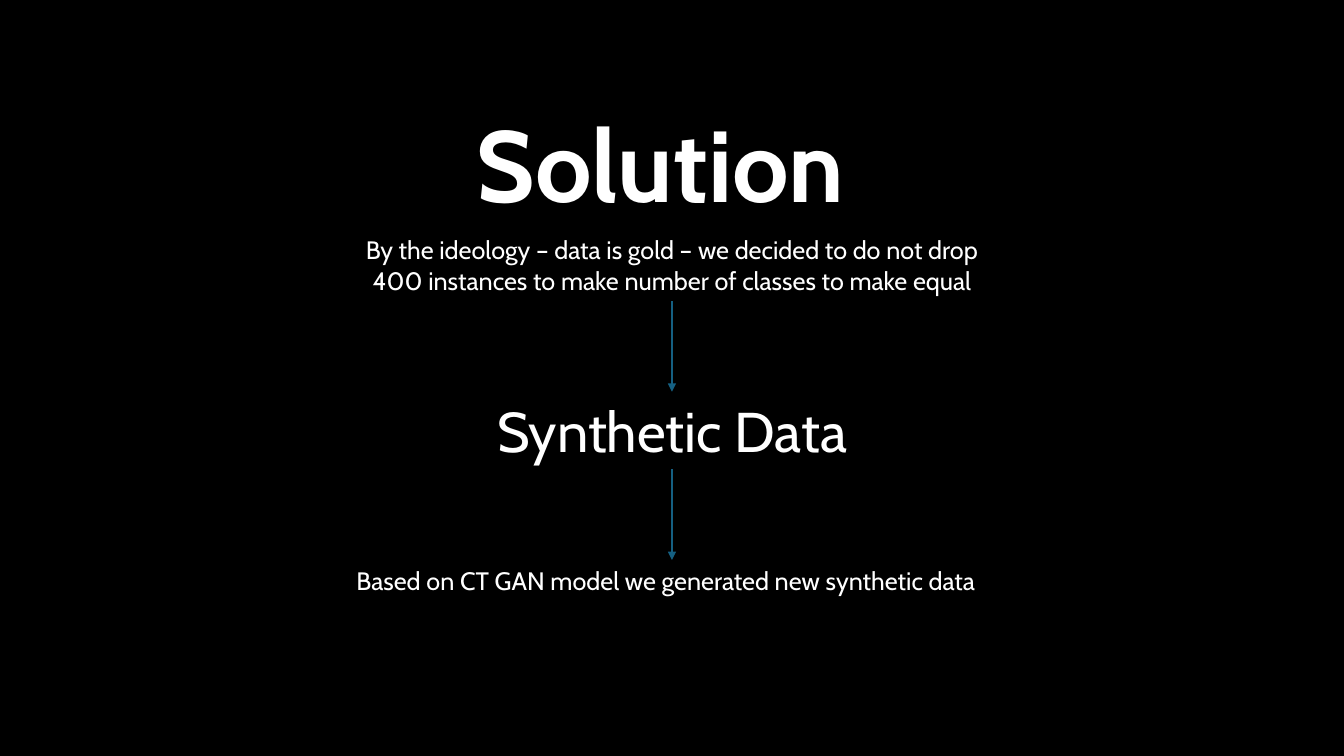
from lxml import etree
from pptx import Presentation
from pptx.dml.color import RGBColor
from pptx.enum.shapes import MSO_CONNECTOR as Connector
from pptx.enum.text import MSO_ANCHOR as Anchor, MSO_AUTO_SIZE as AutoSize, PP_ALIGN as Align
from pptx.oxml.ns import qn
from pptx.util import Cm, Pt

COLOURS = {"background": "000000", "text": "FFFFFF", "arrow": "156082"}
FONT = "Cabin"
SLIDE_WIDTH, SLIDE_HEIGHT = 33.87, 19.05
STEP_GAP = 2.28
STEPS = [
    ("By the ideology – data is gold – we decided to do not drop "
     "400 instances to make number of classes to make equal", 18, 16.89, 1.8, Align.CENTER, True),
    ("Synthetic Data", 40, 16.89, 1.96, Align.CENTER, True),
    ("Based on CT GAN model we generated new synthetic data", 18, 16.41, 1.02, Align.LEFT, False),
]


def colour(name):
    """Return the named colour."""
    return RGBColor.from_string(COLOURS[name])


def write_text(box, text, size, align, wrap, bold=False):
    """Fill a box with one formatted paragraph."""
    frame = box.text_frame
    frame.text = text
    frame.word_wrap = wrap
    frame.auto_size = AutoSize.SHAPE_TO_FIT_TEXT
    frame.vertical_anchor = Anchor.TOP
    para = frame.paragraphs[0]
    para.alignment = align
    para.font.name = FONT
    para.font.size = Pt(size)
    para.font.bold = bold
    para.font.color.rgb = colour("text")


def add_title(page, left, top, width, height):
    """Place the heading in the title placeholder."""
    title = page.shapes.title
    title.left, title.top, title.width, title.height = map(Cm, (left, top, width, height))
    write_text(title, "Solution", 72, Align.LEFT, False, bold=True)


def add_arrow(page, upper, lower):
    """Join the bottom of one box to the top of the next."""
    arrow = page.shapes.add_connector(Connector.STRAIGHT, 0, 0, 0, 0)
    arrow.begin_connect(upper, 2)
    arrow.end_connect(lower, 0)
    arrow.line.color.rgb = colour("arrow")
    arrow.line.width = Pt(1.5)
    etree.SubElement(arrow.line._get_or_add_ln(), qn("a:tailEnd"), type="triangle")
    etree.SubElement(arrow._element.spPr, qn("a:effectLst"))


def add_steps(page, centre, top):
    """Stack the step boxes around a centre line and link them."""
    previous = None
    for text, size, width, height, align, wrap in STEPS:
        box = page.shapes.add_textbox(Cm(centre - width / 2), Cm(top), Cm(width), Cm(height))
        write_text(box, text, size, align, wrap)
        if previous is not None:
            add_arrow(page, previous, box)
        previous = box
        top += height + STEP_GAP


def main():
    """Build and save the slide."""
    deck = Presentation()
    deck.slide_width, deck.slide_height = Cm(SLIDE_WIDTH), Cm(SLIDE_HEIGHT)
    page = deck.slides.add_slide(deck.slide_layouts[5])
    page.background.fill.solid()
    page.background.fill.fore_color.rgb = colour("background")
    add_title(page, 11.76, 2.44, 10.31, 3.33)
    add_steps(page, SLIDE_WIDTH / 2, 5.79)
    deck.save("out.pptx")


if __name__ == "__main__":
    main()
